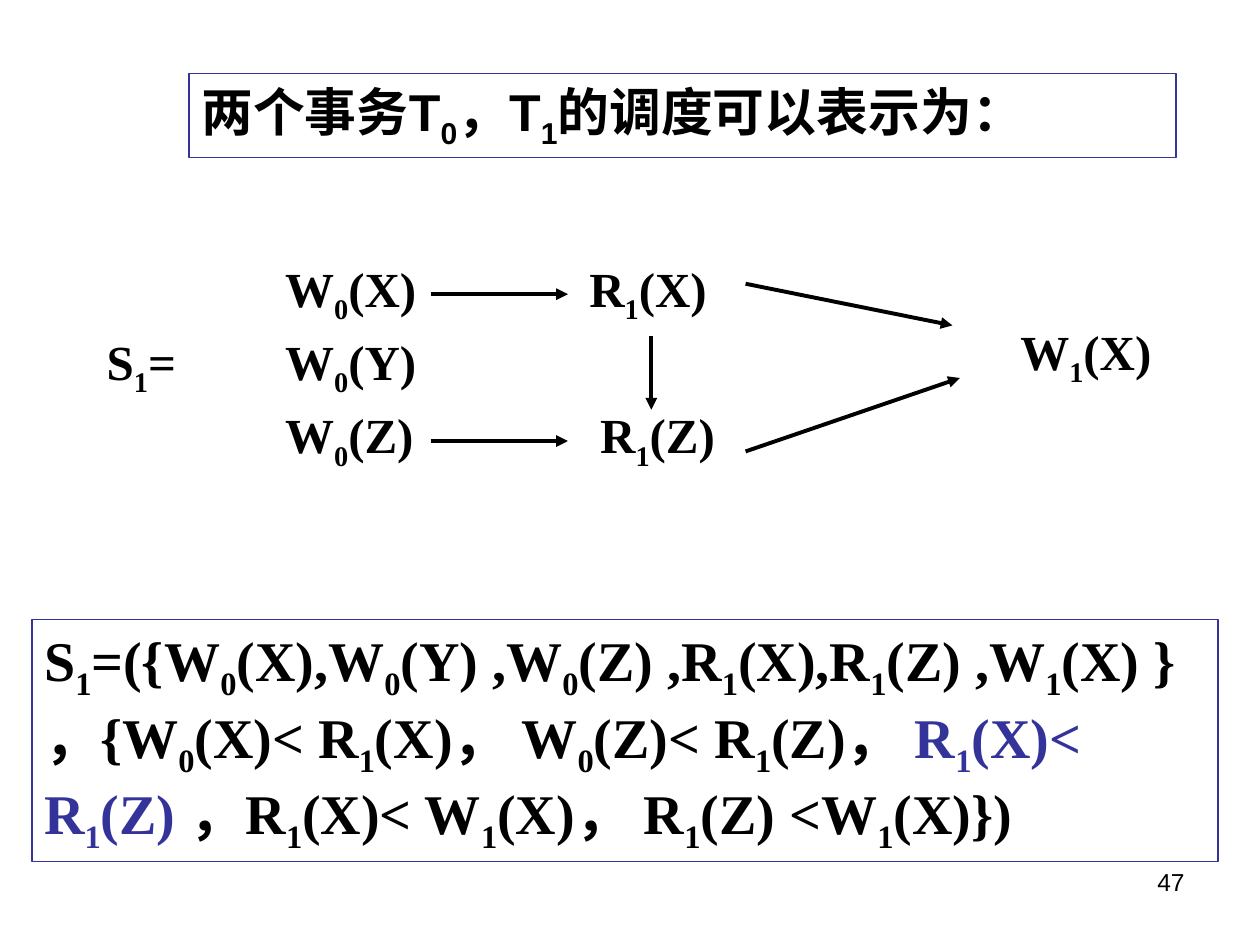
from collections import namedtuple
from dataclasses import dataclass

from lxml import etree
from pptx import Presentation
from pptx import util as u
from pptx.dml.color import RGBColor
from pptx.enum import shapes, text
from pptx.oxml import ns

Box = namedtuple("Box", "left top width height")


@dataclass(frozen=True)
class Theme:
    ink: RGBColor = RGBColor(0, 0, 0)
    accent: RGBColor = RGBColor(0x33, 0x33, 0x99)
    paper: RGBColor = RGBColor(255, 255, 255)
    sans: str = "Arial"
    serif: str = "Times New Roman"
    heading_size: float = 29.6
    formula_size: float = 32
    label_size: float = 28
    number_size: float = 14
    arrow_width: float = 2.25


THEME = Theme()


def add_span(para, words, size, font, color, bold=True, subscript=False):
    span = para.add_run()
    span.text = words
    span.font.size = u.Pt(size)
    span.font.name = font
    span.font.bold = bold
    span.font.color.rgb = color
    if subscript:
        span.font._element.set("baseline", "-25000")


def add_indexed(para, words, size, font, color=THEME.ink):
    """Write words, lowering the single character after each underscore."""
    first, *rest = words.split("_")
    if first:
        add_span(para, first, size, font, color)
    for piece in rest:
        add_span(para, piece[0], size, font, color, subscript=True)
        if piece[1:]:
            add_span(para, piece[1:], size, font, color)


def add_text_box(page, box):
    holder = page.shapes.add_textbox(*(u.Cm(length) for length in box))
    holder.text_frame.word_wrap = True
    holder.text_frame.vertical_anchor = text.MSO_ANCHOR.TOP
    return holder.text_frame.paragraphs[0]


def add_panel(page, box, line_width):
    panel = page.shapes.add_shape(
        shapes.MSO_SHAPE.RECTANGLE, *(u.Cm(length) for length in box))
    panel.shadow.inherit = False
    panel.fill.solid()
    panel.fill.fore_color.rgb = THEME.paper
    panel.line.color.rgb = THEME.accent
    panel.line.width = u.Pt(line_width)
    panel.text_frame.word_wrap = True
    panel.text_frame.vertical_anchor = text.MSO_ANCHOR.TOP
    para = panel.text_frame.paragraphs[0]
    para.alignment = text.PP_ALIGN.LEFT
    return para


def add_arrow(page, box, start, end):
    points = [u.Cm(length) for x, y in (start, end)
              for length in (box.left + x, box.top + y)]
    arrow = page.shapes.add_connector(shapes.MSO_CONNECTOR.STRAIGHT, *points)
    arrow.line.color.rgb = THEME.ink
    arrow.line.width = u.Pt(THEME.arrow_width)
    etree.SubElement(arrow.line._get_or_add_ln(), ns.qn("a:tailEnd"), type="triangle")
    etree.SubElement(arrow._element.spPr, ns.qn("a:effectLst"))


def add_heading(page, box):
    para = add_panel(page, box, 0.75)
    add_indexed(para, "两个事务T_0，T_1的调度可以表示为：", THEME.heading_size, THEME.sans)


def add_schedule(page, box):
    row = 1.48
    writes = [(3.6, index * row, f"W_0({item})") for index, item in enumerate("XYZ")]
    labels = [
        (0, row, "S_1="),
        *writes,
        (9.73, 0, "R_1(X)"),
        (9.95, 2 * row, "R_1(Z)"),
        (18.42, 1.27, "W_1(X)"),
    ]
    for x, y, words in labels:
        para = add_text_box(page, Box(box.left + x, box.top + y, 3.81, 1.59))
        add_indexed(para, words, THEME.label_size, THEME.serif)

    arrows = [
        ((6.78, 0.85), (9.55, 0.85)),
        ((6.78, 3.81), (9.55, 3.81)),
        ((11.23, 1.7), (11.23, 3.18)),
        ((13.13, 0.64), (17.3, 1.48)),
        ((13.13, 4.02), (17.45, 2.54)),
    ]
    for start, end in arrows:
        add_arrow(page, box, start, end)


def add_formula(page, box):
    para = add_panel(page, box, 1)
    parts = [
        ("S_1=({W_0(X),W_0(Y) ,W_0(Z) ,R_1(X),R_1(Z) ,W_1(X) }，"
         "{W_0(X)< R_1(X)， W_0(Z)< R_1(Z)， ", THEME.ink),
        ("R_1(X)< R_1(Z) ", THEME.accent),
        ("，R_1(X)< W_1(X)， R_1(Z) <W_1(X)})", THEME.ink),
    ]
    for words, color in parts:
        add_indexed(para, words, THEME.formula_size, THEME.serif, color)


def add_page_number(page, box):
    para = add_text_box(page, box)
    para.alignment = text.PP_ALIGN.RIGHT
    add_span(para, "47", THEME.number_size, THEME.sans, THEME.ink, bold=False)


def main():
    deck = Presentation()
    deck.slide_width, deck.slide_height = u.Cm(25.4), u.Cm(19.05)
    page = deck.slides.add_slide(deck.slide_layouts[6])
    add_page_number(page, Box(18.2, 17.35, 5.93, 1.32))
    add_schedule(page, Box(1.9, 5.08, 22.23, 4.57))
    add_formula(page, Box(0.64, 12.49, 23.92, 4.88))
    add_heading(page, Box(3.81, 1.48, 19.9, 1.7))
    deck.save("out.pptx")


if __name__ == "__main__":
    main()
